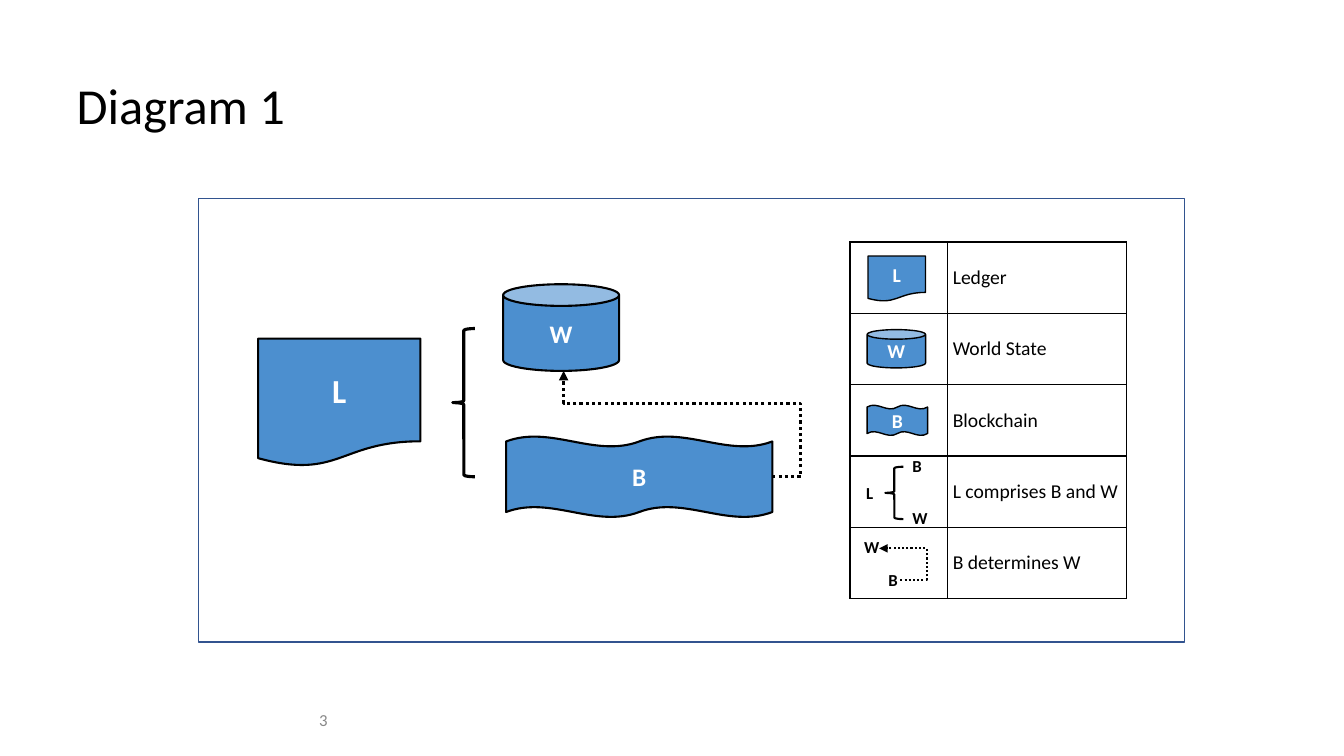
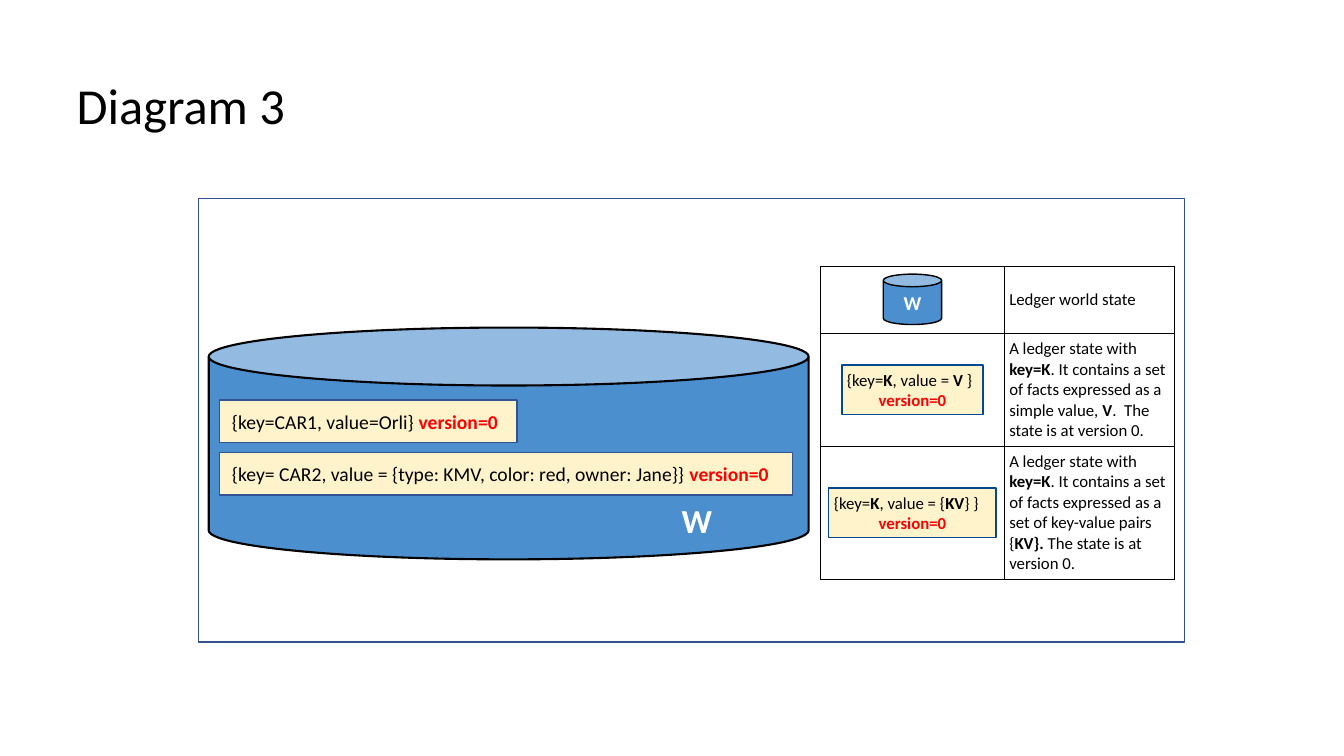
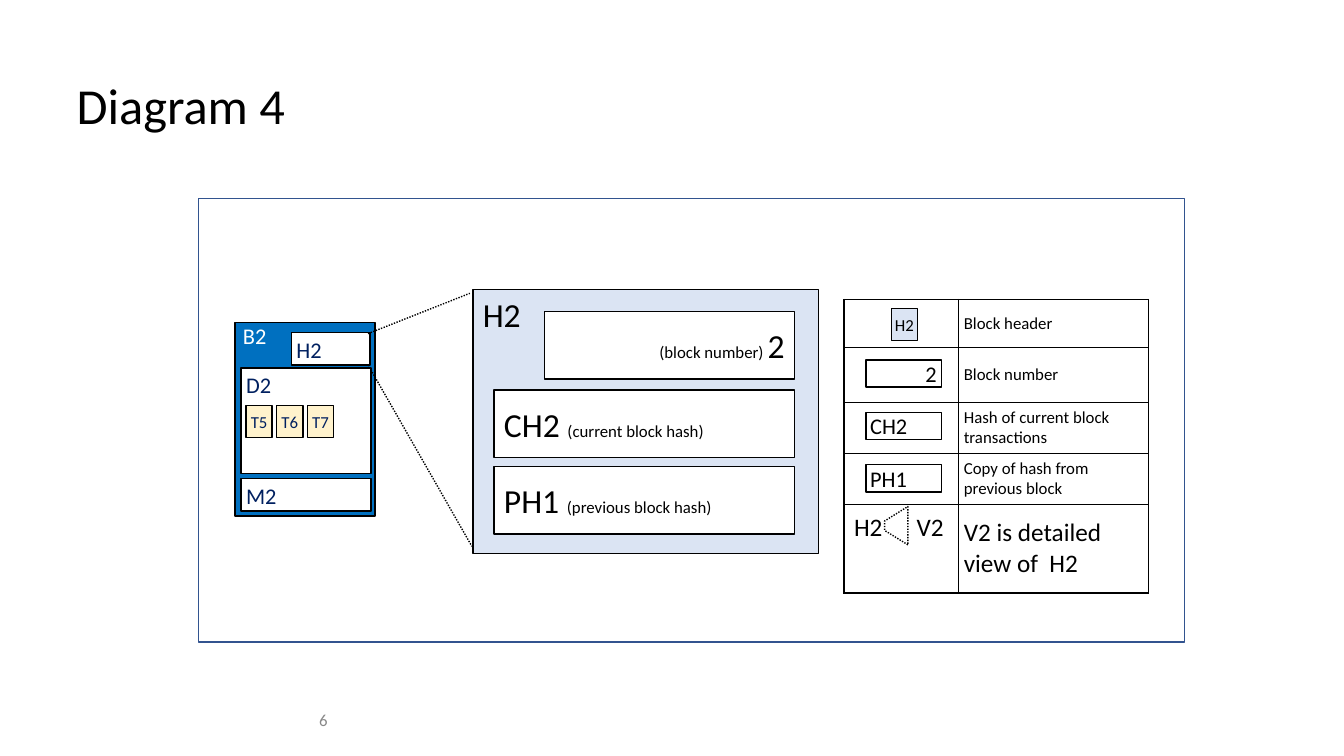
from lxml import etree
from pptx import Presentation
from pptx import util as u
from pptx.dml.color import RGBColor
from pptx.enum import dml, shapes, text
from pptx.oxml import ns

COLORS = {
    "black": "000000", "white": "FFFFFF", "gray": "888888", "red": "FF0000",
    "frame": "32538F", "edge": "00488F", "ledger": "4C8FCF", "block": "0070C0",
    "navy": "002060", "header": "DBE4F3", "state": "FFF3CC", "transaction": "FFF2CC",
}
FONT = "Calibri"
CELLS_PER_INCH = 10
KINDS = shapes.MSO_SHAPE
ALIGN = text.PP_ALIGN
ANCHOR = text.MSO_ANCHOR
SNUG = (0.5, 0.5, 0.5, 0.5)
NONE = (0, 0, 0, 0)
ROOMY = (1, 0.5, 1, 0.5)
BOLD = {"bold": True}
VERSION = ("version=0", {"bold": True, "color": "red"})


def cells(count):
    return u.Inches(count / CELLS_PER_INCH)


def color_of(name):
    return RGBColor.from_string(COLORS[name])


def write(frame, paras, size=12, color="black", bold=False, align=ALIGN.LEFT, spacing=None):
    if isinstance(paras, str):
        paras = [[paras]]
    for index, spans in enumerate(paras):
        para = frame.add_paragraph() if index else frame.paragraphs[0]
        para.alignment = align[index] if isinstance(align, tuple) else align
        if spacing:
            para.line_spacing = spacing
        for item in spans:
            words, changes = (item, {}) if isinstance(item, str) else item
            span = para.add_run()
            span.text = words
            span.font.name = FONT
            span.font.size = u.Pt(changes.get("size", size))
            span.font.bold = changes.get("bold", bold)
            span.font.color.rgb = color_of(changes.get("color", color))


class Deck:
    def __init__(self):
        self.deck = Presentation()
        self.deck.slide_width = u.Inches(13.33)
        self.deck.slide_height = u.Inches(7.5)
        self.page = None

    def add_page(self, title, number=None):
        self.page = self.deck.slides.add_slide(self.deck.slide_layouts[5])
        box = self.page.shapes.title
        self.place(box, 7.6, 8, 118.1, 14.3)
        self.fit(box.text_frame, NONE, ANCHOR.TOP)
        write(box.text_frame, title, size=36, spacing=0.9)
        if number:
            self.label(number, 31, 70, 2, 2.9, color="gray", align=ALIGN.RIGHT,
                       anchor=ANCHOR.MIDDLE)
        self.box(19.7, 19.7, 97.8, 44, fill=None, line="frame")

    def place(self, box, left, top, width, height):
        box.left, box.top = cells(left), cells(top)
        box.width, box.height = cells(width), cells(height)

    def fit(self, frame, insets, anchor, wrap=True):
        frame.auto_size = text.MSO_AUTO_SIZE.NONE
        frame.word_wrap = wrap
        frame.vertical_anchor = anchor
        frame.margin_left, frame.margin_top, frame.margin_right, frame.margin_bottom = map(
            cells, insets)

    def outline(self, item, color, weight, dotted=False, arrow=False):
        item.line.color.rgb = color_of(color)
        item.line.width = u.Pt(weight)
        if dotted:
            item.line.dash_style = dml.MSO_LINE.ROUND_DOT
        if arrow:
            stroke = item._element.spPr.find(ns.qn("a:ln"))
            etree.SubElement(stroke, ns.qn("a:tailEnd"), type="triangle")

    def box(self, left, top, width, height, words=None, kind=KINDS.RECTANGLE, fill="white",
            line="black", weight=1, dotted=False, insets=SNUG, anchor=ANCHOR.MIDDLE,
            **style):
        box = self.page.shapes.add_shape(kind, *map(cells, (left, top, width, height)))
        box.shadow.inherit = False
        if fill:
            box.fill.solid()
            box.fill.fore_color.rgb = color_of(fill)
        else:
            box.fill.background()
        self.outline(box, line, weight, dotted)
        if words:
            self.fit(box.text_frame, insets, anchor)
            write(box.text_frame, words, **style)
        return box

    def symbol(self, letter, kind, left, top, width, height, size=14, weight=1, insets=SNUG):
        self.box(left, top, width, height, letter, kind=kind, fill="ledger", weight=weight,
                 insets=insets, size=size, color="white", bold=True, align=ALIGN.CENTER)

    def label(self, words, left, top, width, height, anchor=ANCHOR.TOP, **style):
        box = self.page.shapes.add_textbox(*map(cells, (left, top, width, height)))
        self.fit(box.text_frame, SNUG, anchor, wrap=False)
        write(box.text_frame, words, **style)

    def brace(self, left, top, width, height, weight):
        self.box(left, top, width, height, kind=KINDS.LEFT_BRACE, fill=None, weight=weight)

    def bent_arrow(self, points, weight):
        start, *rest = [tuple(map(cells, point)) for point in points]
        builder = self.page.shapes.build_freeform(*start, scale=1.0)
        builder.add_line_segments(rest, close=False)
        arrow = builder.convert_to_shape()
        arrow.shadow.inherit = False
        arrow.fill.background()
        self.outline(arrow, "black", weight, dotted=True, arrow=True)

    def dotted_line(self, start, end):
        line = self.page.shapes.add_connector(
            shapes.MSO_CONNECTOR.STRAIGHT, *map(cells, (*start, *end)))
        self.outline(line, "black", 1, dotted=True)
        etree.SubElement(line._element.spPr, ns.qn("a:effectLst"))

    def legend(self, left, top, widths, heights, meanings, size):
        table = self.page.shapes.add_table(
            len(heights), len(widths),
            *map(cells, (left, top, sum(widths), sum(heights)))).table
        table.first_row = table.horz_banding = False
        for column, width in zip(table.columns, widths):
            column.width = cells(width)
        for row, height, meaning in zip(table.rows, heights, meanings):
            row.height = cells(height)
            for cell in row.cells:
                self.style_cell(cell)
            write(row.cells[1].text_frame, meaning, size=size)

    def style_cell(self, cell):
        cell.fill.background()
        cell.vertical_anchor = ANCHOR.MIDDLE
        cell.margin_left = cell.margin_right = cells(0.5)
        cell.margin_top = cell.margin_bottom = cells(0.5)
        properties = cell._tc.get_or_add_tcPr()
        for index, side in enumerate(("lnL", "lnR", "lnT", "lnB")):
            border = etree.Element(ns.qn("a:" + side), w=str(u.Pt(1)))
            paint = etree.SubElement(border, ns.qn("a:solidFill"))
            etree.SubElement(paint, ns.qn("a:srgbClr"), val=COLORS["black"])
            properties.insert(index, border)

    def save_ledger_page(self):
        self.add_page("Diagram 1", "3")
        self.symbol("L", KINDS.FLOWCHART_DOCUMENT, 25.6, 33.6, 16.1, 12.7, 24, 1.5)
        self.symbol("B", KINDS.DOUBLE_WAVE, 50.2, 43.3, 26.4, 8, 18, 1.5)
        self.symbol("W", KINDS.CAN, 49.9, 28.2, 11.5, 8.6, 18, 1.5)
        self.brace(44.9, 32.6, 2.2, 14.7, 2.25)
        self.bent_arrow([(76.6, 47.3), (79.4, 47.3), (79.4, 40), (55.9, 40), (55.9, 36.8)],
                        2.25)
        self.legend(84.3, 24, (9.7, 17.7), (7.08,) * 5,
                    ("Ledger", "World State", "Blockchain", "L comprises B and W",
                     "B determines W"), 14)
        self.symbol("L", KINDS.FLOWCHART_DOCUMENT, 86.1, 25.4, 5.7, 4.5)
        self.symbol("W", KINDS.CAN, 86, 32.7, 5.8, 3.8)
        self.symbol("B", KINDS.DOUBLE_WAVE, 86, 40.2, 6, 3)
        self.brace(87.8, 46.3, 1.8, 5.2, 1.5)
        self.bent_arrow([(89.3, 57.5), (91.9, 57.5), (91.9, 54.4), (87.2, 54.4)], 1.5)
        for letter, left, top, width in (("L", 85.4, 47.4, 1.7), ("B", 90, 44.7, 2),
                                         ("W", 90, 49.9, 2.5), ("B", 87.6, 56, 1.8),
                                         ("W", 85.2, 52.8, 2.3)):
            self.label(letter, left, top, width, 3, bold=True)

    def save_state_page(self):
        self.add_page("Diagram 3")
        self.box(20.7, 32.5, 59.5, 23, kind=KINDS.CAN, fill="ledger", weight=1.5)
        states = (("{key=CAR1, value=Orli} ", 39.7, 29.5),
                  ("{key= CAR2, value = {type: KMV, color: red, owner: Jane}} ", 44.9, 56.8))
        for state, top, width in states:
            self.box(21.8, top, width, 4.2, [[state, VERSION]], fill="state", line="frame",
                     insets=(1.2, 0.5, 0.5, 0.5), size=14)
        self.label("W", 67.1, 49.1, 4.1, 5, size=24, color="white", bold=True)

        opening = ["A ledger state with ", ("key=K", BOLD)]
        contents = ". It contains a set of facts expressed as a "
        self.legend(81.4, 26.4, (18.2, 16.9), (6.7, 11, 13), (
            "Ledger world state",
            [opening + [contents + "simple value, ", ("V", BOLD),
                        ".  The state is at version 0."]],
            [opening + [contents + "set of key-value pairs {", ("KV}.", BOLD),
                        " The state is at version 0."]]), 12)
        self.symbol("W", KINDS.CAN, 87.6, 27.2, 5.8, 5, insets=(0.5, 0.4, 0.5, 0.4))
        for left, top, width, before, value, after in (
                (83.5, 36.2, 14, ", value = ", "V", " }"),
                (82.2, 48.4, 16.6, ", value = {", "KV", "} }")):
            self.box(left, top, width, 4.9,
                     [["{key=", ("K", BOLD), before, (value, BOLD), after], [VERSION]],
                     fill="state", line="edge", align=(ALIGN.LEFT, ALIGN.CENTER))

    def save_block_page(self):
        self.add_page("Diagram 4", "6")
        self.box(23.3, 32, 13.9, 19.2, "B2", fill="block", insets=(0.8, 0, 0, 0),
                 anchor=ANCHOR.TOP, size=16, color="white")
        for name, left, top, width, height in (("D2", 23.9, 36.5, 12.9, 10.5),
                                               ("M2", 23.9, 47.5, 12.9, 3.2),
                                               ("H2", 28.9, 33, 7.8, 3.2)):
            self.box(left, top, width, height, name, insets=(0.5, 0.3, 0, 0),
                     anchor=ANCHOR.TOP, size=16, color="navy")
        for index, name in enumerate(("T5", "T6", "T7")):
            self.box(24.4 + 3.05 * index, 40.2, 2.6, 3.2, name, fill="transaction",
                     insets=NONE, color="navy", align=ALIGN.CENTER)

        self.box(46.9, 28.7, 34.3, 26.2, "H2", fill="header", insets=ROOMY,
                 anchor=ANCHOR.TOP, size=24)
        big = {"size": 24}
        for left, top, spans, align in (
                (54, 30.9, ["(block number) ", ("2", big)], ALIGN.RIGHT),
                (49, 38.7, [("CH2 ", big), "(current block hash)"], ALIGN.LEFT),
                (49, 46.3, [("PH1 ", big), "(previous block hash)"], ALIGN.LEFT)):
            self.box(left, top, 78.8 - left, 6.7, [spans], insets=ROOMY, align=align)
        self.dotted_line((36.5, 33.1), (46.6, 29.1))
        self.dotted_line((36.5, 36.2), (46.8, 54.2))

        self.legend(83.7, 29.7, (11.4, 18.8), (4.8, 5.4, 5, 4.9, 8.8), (
            "Block header", "Block number", "Hash of current block transactions",
            "Copy of hash from previous block",
            [[("V2 is detailed view of  H2", {"size": 18})]]), 12)
        self.box(88.4, 30.6, 2.6, 3.2, "H2", fill="header", insets=NONE, align=ALIGN.CENTER)
        for index, (name, align) in enumerate((("2", ALIGN.RIGHT), ("CH2", ALIGN.LEFT),
                                               ("PH1", ALIGN.LEFT))):
            self.box(85.9, 35.7 + 5.2 * index, 7.5, 2.7, name, insets=(0.4, 0, 0.5, 0.5),
                     anchor=ANCHOR.TOP, size=16, align=align)
        for name, left in (("H2", 84.2), ("V2", 90.4)):
            self.label(name, left, 50.2, 3.9, 4, size=18)
        view = self.box(87, 51, 3.8, 2.3, kind=KINDS.TRAPEZOID, dotted=True)
        view.adjustments[0] = 0.62
        view.rotation = 270


show = Deck()
show.save_ledger_page()
show.save_state_page()
show.save_block_page()
show.deck.save("out.pptx")
